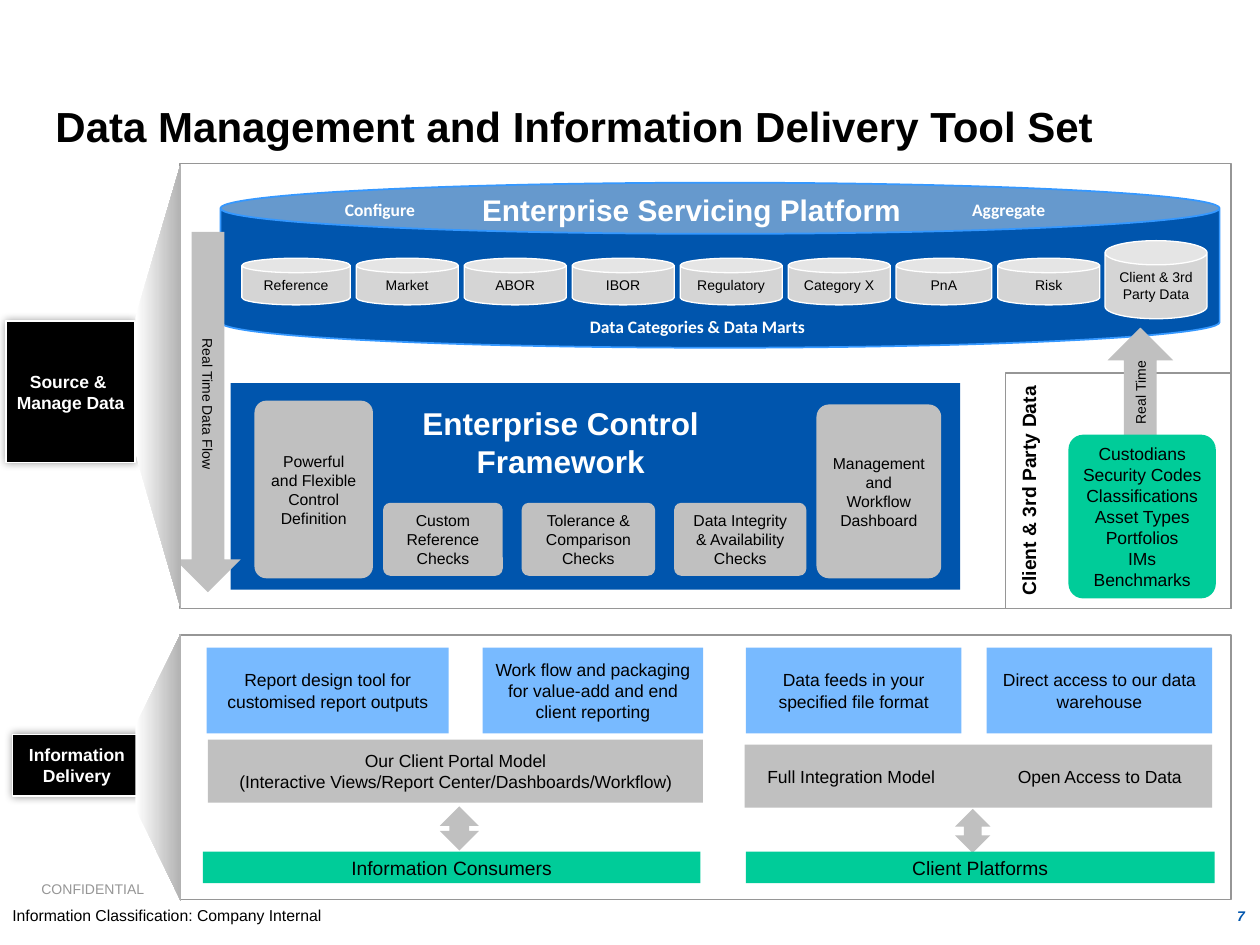
"""Build the data management and information delivery tool set slide on a 100 by 75 grid."""
from lxml import etree
from pptx import Presentation
from pptx import util as u
from pptx.dml.color import RGBColor
from pptx.enum import shapes, text
from pptx.oxml import ns

KIND = shapes.MSO_SHAPE
BLACK = RGBColor(0x00, 0x00, 0x00)
WHITE = RGBColor(0xFF, 0xFF, 0xFF)
NAVY = RGBColor(0x00, 0x55, 0xAD)
AZURE = RGBColor(0x35, 0x98, 0xFF)
SKY = RGBColor(0x78, 0xBA, 0xFF)
GREEN = RGBColor(0x00, 0xCC, 0x99)
SILVER = RGBColor(0xC0, 0xC0, 0xC0)
PALE = RGBColor(0xD5, 0xD5, 0xD5)
SHADE = RGBColor(0xB2, 0xB2, 0xB2)
GREY = RGBColor(0x96, 0x96, 0x96)
WIDE, TIGHT, SLIM = (1, 0.5), (0.6, 0.3), (0, 0.3)
LEFT, MID, RIGHT = text.PP_ALIGN.LEFT, text.PP_ALIGN.CENTER, text.PP_ALIGN.RIGHT

deck = Presentation()
deck.slide_width, deck.slide_height = u.Inches(10), u.Inches(7.5)
col, row = deck.slide_width / 100, deck.slide_height / 75
slide = deck.slides.add_slide(deck.slide_layouts[5])


def write(shape, words, size, color=BLACK, bold=False, align=MID, pad=WIDE,
          anchor=text.MSO_ANCHOR.MIDDLE, font="Arial", wrap=True, turn=None):
    frame = shape.text_frame
    frame.text = words
    frame.word_wrap = wrap
    frame.auto_size = text.MSO_AUTO_SIZE.NONE
    frame.vertical_anchor = anchor
    frame.margin_left = frame.margin_right = int(pad[0] * col)
    frame.margin_top = frame.margin_bottom = int(pad[1] * row)
    if turn:
        frame._txBody.bodyPr.set("vert", turn)
    for para in frame.paragraphs:
        para.alignment = align
        para.font.name, para.font.size, para.font.bold = font, u.Pt(size), bold
        para.font.color.rgb = color
    return frame


def draw(kind, x, y, wide, high, fill=None, line=None, weight=0.75, adj=None):
    area = int(x * col), int(y * row), int(wide * col), int(high * row)
    if kind is None:
        return slide.shapes.add_textbox(*area)
    shape = slide.shapes.add_shape(kind, *area)
    shape.shadow.inherit = False
    shape.fill.solid()
    shape.fill.fore_color.rgb = fill
    if line is None:
        shape.line.fill.background()
    else:
        shape.line.color.rgb, shape.line.width = line, u.Pt(weight)
    if adj is not None:
        shape.adjustments[0] = adj
    return shape


title = slide.shapes.title
title.left, title.top = int(4.4 * col), int(8 * row)
title.width, title.height = int(90 * col), int(3.4 * row)
write(title, "Data Management and Information Delivery Tool Set", 24, bold=True,
      align=LEFT, pad=(0, 0), anchor=text.MSO_ANCHOR.TOP)

for y, high in ((50.4, 21), (13, 35.3)):
    draw(KIND.RECTANGLE, 14.3, y, 83.4, high, WHITE, GREY)

draw(KIND.CAN, 17.5, 14.5, 79.3, 13.1, NAVY, AZURE, 1, 0.31)
for words, x, y, wide, high, size, font in (
        ("Data Categories & Data Marts", 41.7, 24.8, 27.3, 2.3, 10, "Calibri"),
        ("Enterprise Servicing Platform", 37.1, 14.9, 35.6, 3.5, 17, "Arial"),
        ("Configure", 26, 15.5, 8.3, 2.3, 10, "Calibri"),
        ("Aggregate", 75.2, 15.5, 9.7, 2.3, 10, "Calibri")):
    write(draw(None, x, y, wide, high), words, size, WHITE, True, pad=TIGHT,
          anchor=text.MSO_ANCHOR.TOP, font=font)

x = 19.2
for words, wide in (("Reference", 8.6), ("Market", 8.1), ("ABOR", 8.1), ("IBOR", 8.1),
                    ("Regulatory", 8.1), ("Category X", 8.1), ("PnA", 7.6), ("Risk", 8.1)):
    can = draw(KIND.CAN, x, 20.5, wide, 3.7, PALE, WHITE, adj=0.31)
    write(can, words, 8, pad=SLIM)
    x += wide + 0.47
can = draw(KIND.CAN, 87.7, 19.1, 8.1, 6.2, PALE, WHITE, adj=0.31)
write(can, "Client & 3rd Party Data", 8, pad=SLIM)

draw(KIND.RECTANGLE, 18.3, 30.4, 57.9, 16.4, NAVY)
write(draw(None, 27.9, 31.8, 33.2, 6.5), "Enterprise Control Framework", 18, WHITE, True,
      pad=TIGHT, anchor=text.MSO_ANCHOR.TOP)
for words, x, y, wide, high in (
        ("Powerful and Flexible Control Definition", 20.2, 31.8, 9.4, 14.1),
        ("Custom Reference Checks", 30.4, 39.9, 9.5, 5.8),
        ("Tolerance & Comparison Checks", 41.4, 39.9, 10.6, 5.8),
        ("Data Integrity & Availability Checks", 53.5, 39.9, 10.5, 5.8),
        ("Management and Workflow Dashboard", 64.8, 32.1, 9.9, 13.8)):
    write(draw(KIND.ROUNDED_RECTANGLE, x, y, wide, high, SILVER, adj=0.1), words, 9,
          pad=(0.95, 0.4))

panel = draw(KIND.RECTANGLE, 79.8, 29.6, 17.9, 18.7, WHITE, GREY)
write(panel, "Client & 3rd Party Data", 11, bold=True, pad=(0.9, 0.4),
      anchor=text.MSO_ANCHOR.TOP, turn="vert270")
for words, x, y, high, spin in (("Real Time", 87.9, 26, 9, 0),
                                ("Real Time Data Flow", 13.9, 18.4, 28.6, 180)):
    arrow = draw(KIND.UP_ARROW, x, y, 5.2, high, SILVER)
    arrow.rotation = spin
    write(arrow, words, 8, pad=TIGHT, turn="vert270")
feed = draw(KIND.ROUNDED_RECTANGLE, 84.8, 34.5, 11.7, 13, GREEN, adj=0.1)
write(feed, "Custodians\nSecurity Codes\nClassifications\nAsset Types\nPortfolios\nIMs\nBenchmarks",
      10, pad=SLIM)

for words, x, wide in (
        ("Report design tool for customised report outputs", 16.4, 19.2),
        ("Work flow and packaging for value-add and end client reporting", 38.3, 17.5),
        ("Data feeds in your specified file format", 59.2, 17.1),
        ("Direct access to our data warehouse", 78.3, 17.9)):
    write(draw(KIND.RECTANGLE, x, 51.4, wide, 6.8, SKY), words, 10)

model = draw(KIND.RECTANGLE, 16.5, 58.7, 39.3, 5, SILVER)
write(model, "Our Client Portal Model\n(Interactive Views/Report Center/Dashboards/Workflow)", 10)
model = draw(KIND.RECTANGLE, 59.1, 59.1, 37.1, 5, SILVER)
write(model, "Full Integration Model", 10, align=LEFT, pad=(1.8, 0.5))
write(draw(None, 79.8, 60.3, 20, 2.7), "Open Access to Data", 10, align=LEFT)

for x, y, wide in ((34.9, 64, 3.1), (75.8, 64.2, 2.8)):
    draw(KIND.UP_DOWN_ARROW, x, y, wide, 3.5, SILVER)
for words, x, wide in (("Information Consumers", 16.1, 39.5), ("Client Platforms", 59.2, 37.2)):
    write(draw(KIND.RECTANGLE, x, 67.6, wide, 2.5, GREEN), words, 11, pad=SLIM)

for words, x, y, high in (("Source & \vManage Data", 0.5, 25.5, 11.2),
                          ("Information\nDelivery", 1, 58.3, 4.9)):
    label = draw(KIND.RECTANGLE, x, y, 10.2, high, BLACK, WHITE, 1)
    write(label, words, 10, WHITE, True, wrap=False)
    glow = etree.SubElement(label._element.spPr.find(ns.qn("a:effectLst")),
                            ns.qn("a:outerShdw"), blurRad=str(u.Pt(5)))
    tint = etree.SubElement(glow, ns.qn("a:srgbClr"), val=str(BLACK))
    etree.SubElement(tint, ns.qn("a:alpha"), val="40000")

for top, upper, lower, base in ((13, 25.2, 36, 48.3), (50.3, 57.6, 64.1, 71.5)):
    pen = slide.shapes.build_freeform(int(14.35 * col), int(base * row))
    pen.add_line_segments([(int(x * col), int(y * row)) for x, y in
                           ((10.75, lower), (10.75, upper), (14.35, top))])
    wedge = pen.convert_to_shape()
    wedge.shadow.inherit = False
    wedge.line.fill.background()
    wedge.fill.gradient()
    wedge.fill.gradient_angle = 0
    for stop, place, color in zip(wedge.fill.gradient_stops, (0, 1), (WHITE, SHADE)):
        stop.position, stop.color.rgb = place, color

write(draw(None, 2.3, 69.4, 10.3, 2.3), "CONFIDENTIAL", 8, GREY, align=LEFT, wrap=False)
write(draw(None, 0, 71.4, 70, 2.5), "Information Classification: Company Internal", 9, align=LEFT)
page = write(draw(None, 76.5, 71.4, 23.3, 2.5), "7", 8, NAVY, True, RIGHT, pad=WIDE)
page.paragraphs[0].font.italic = True

deck.save("out.pptx")
